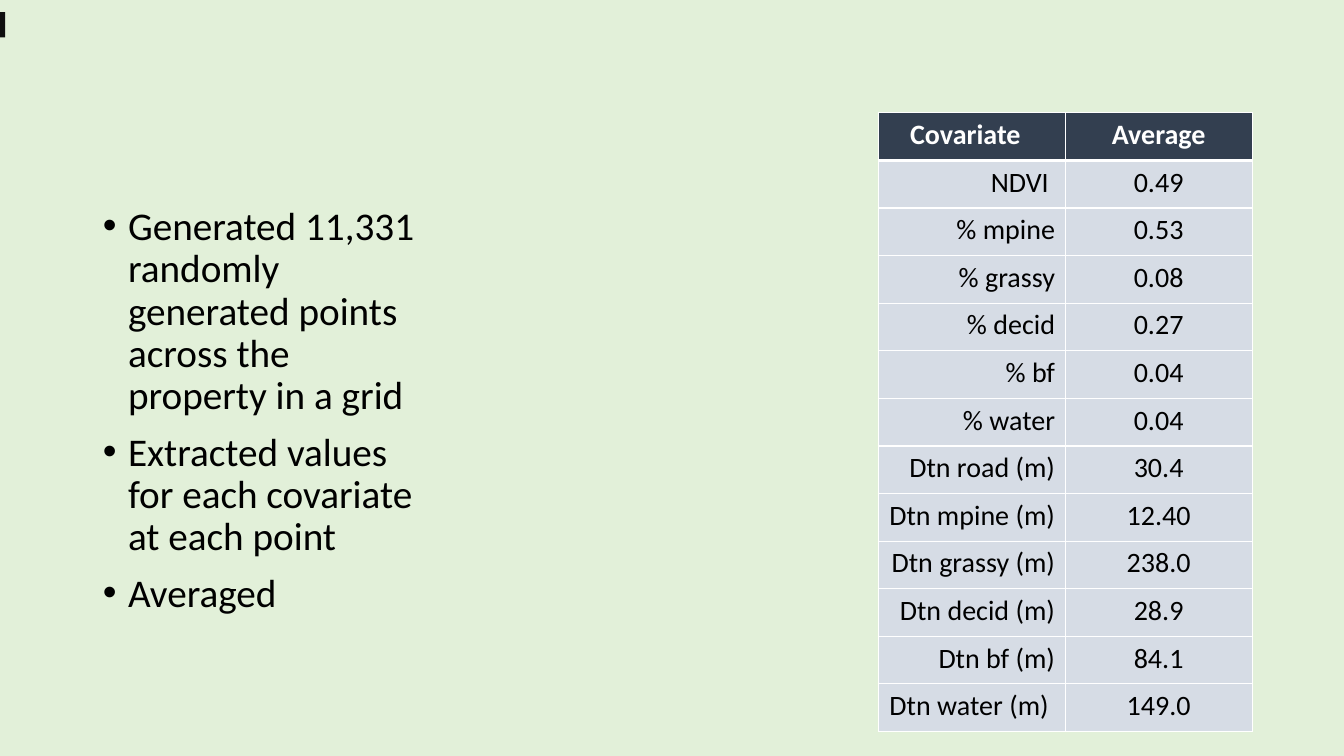
from lxml import etree
from pptx import Presentation
from pptx.dml.color import RGBColor
from pptx.enum.shapes import MSO_SHAPE
from pptx.enum.text import MSO_ANCHOR, PP_ALIGN
from pptx.oxml.ns import qn
from pptx.util import Inches, Pt

COLORS = {
    "background": "E2F0D9",
    "marker": "0F0F0F",
    "header": "333F50",
    "row": "D6DCE5",
    "white": "FFFFFF",
    "black": "000000",
}
BULLETS = [
    "Generated 11,331 randomly generated points across the property in a grid",
    "Extracted values for each covariate at each point",
    "Averaged",
]
AVERAGES = [
    ("Covariate  ", "Average"),
    ("NDVI ", "0.49"),
    ("% mpine", "0.53"),
    ("% grassy", "0.08"),
    ("% decid", "0.27"),
    ("% bf", "0.04"),
    ("% water", "0.04"),
    ("Dtn road (m)", "30.4"),
    ("Dtn mpine (m)", "12.40"),
    ("Dtn grassy (m)", "238.0"),
    ("Dtn decid (m)", "28.9"),
    ("Dtn bf (m)", "84.1"),
    ("Dtn water (m) ", "149.0"),
]


def style_text(para, size, color, bold=False):
    for span in para.runs:
        span.font.name = "Calibri"
        span.font.size = Pt(size)
        span.font.bold = bold
        span.font.color.rgb = RGBColor.from_string(COLORS[color])


def add_border(cell, side, width):
    """Draw one white cell border; side is L, R, T or B."""
    line = etree.SubElement(cell._tc.get_or_add_tcPr(), qn(f"a:ln{side}"), w=str(Pt(width)))
    fill = etree.SubElement(line, qn("a:solidFill"))
    etree.SubElement(fill, qn("a:srgbClr"), val=COLORS["white"])


deck = Presentation()
deck.slide_width, deck.slide_height = Inches(13.33), Inches(7.5)
page = deck.slides.add_slide(deck.slide_layouts[1])
page.background.fill.solid()
page.background.fill.fore_color.rgb = RGBColor.from_string(COLORS["background"])
title = page.shapes.title._element
title.getparent().remove(title)

# Method bullets
body = page.placeholders[1]
body.left, body.top = Inches(0.92), Inches(2)
body.width, body.height = Inches(3.4), Inches(4.76)
frame = body.text_frame
frame.word_wrap = True
frame.vertical_anchor = MSO_ANCHOR.TOP
frame.text = "\n".join(BULLETS)
for para in frame.paragraphs:
    para.line_spacing = 0.9
    para.space_before = Pt(10)
    style_text(para, 28, "black")
    properties = para._p.get_or_add_pPr()
    properties.set("marL", str(Inches(0.25)))
    properties.set("indent", str(Inches(-0.25)))
    etree.SubElement(properties, qn("a:buFont"), typeface="Arial")
    etree.SubElement(properties, qn("a:buChar"), char="•")

# Edge marker
marker = page.shapes.add_shape(
    MSO_SHAPE.RECTANGLE, Inches(0), Inches(0.12), Inches(0.05), Inches(0.25))
marker.shadow.inherit = False
marker.fill.solid()
marker.fill.fore_color.rgb = RGBColor.from_string(COLORS["marker"])
marker.line.fill.background()

# Covariate averages
table = page.shapes.add_table(
    len(AVERAGES), 2, Inches(8.71), Inches(1.12), Inches(3.71), Inches(6.14)).table
for row, values in enumerate(AVERAGES):
    is_header = row == 0
    for column, value in enumerate(values):
        cell = table.cell(row, column)
        cell.text = value
        para = cell.text_frame.paragraphs[0]
        para.alignment = PP_ALIGN.CENTER if is_header or column == 1 else PP_ALIGN.RIGHT
        style_text(para, 20, "white" if is_header else "black", is_header)
        add_border(cell, "L", 1)
        add_border(cell, "R", 1)
        add_border(cell, "T", 3 if row == 1 else 1)
        add_border(cell, "B", 3 if is_header else 1)
        cell.fill.solid()
        cell.fill.fore_color.rgb = RGBColor.from_string(COLORS["header" if is_header else "row"])

deck.save("out.pptx")
